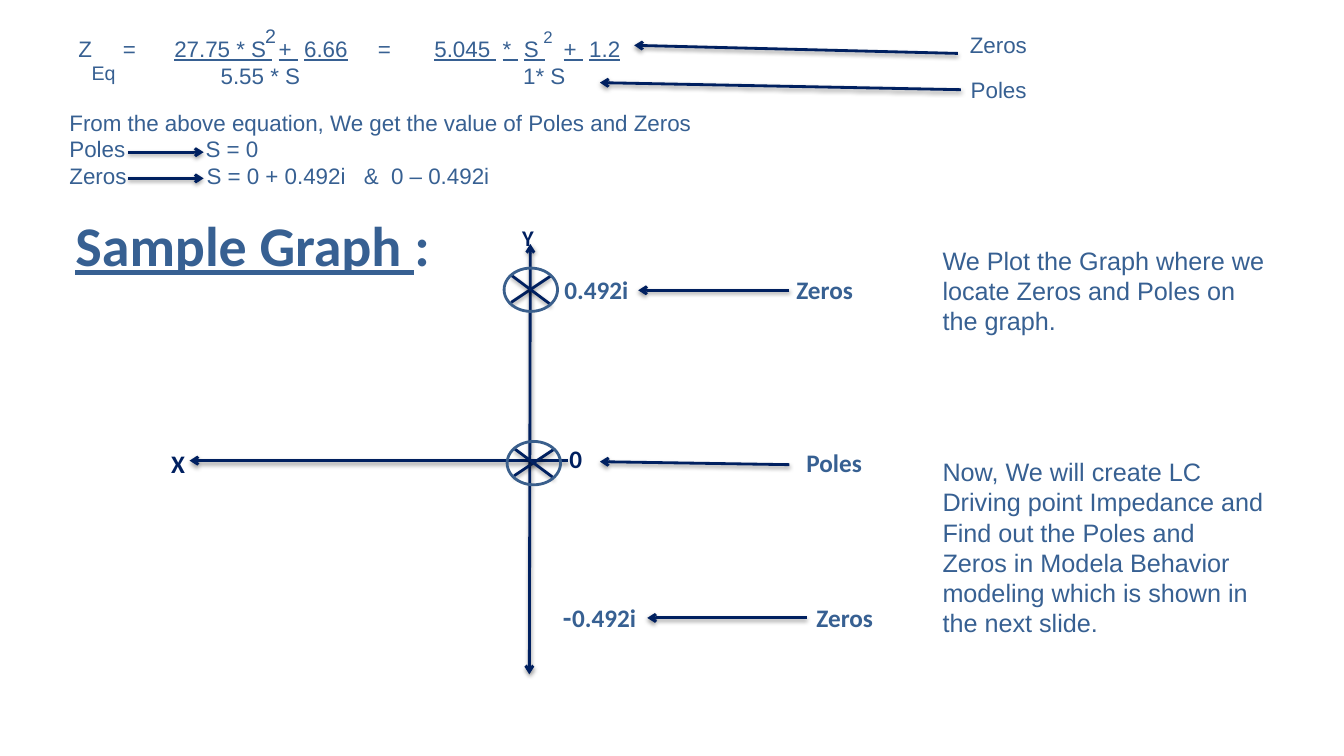
from lxml import etree
from pptx import Presentation
from pptx.dml.color import RGBColor
from pptx.enum.shapes import MSO_CONNECTOR, MSO_SHAPE
from pptx.oxml.ns import qn
from pptx.util import Inches, Pt

BLUE = RGBColor(0x37, 0x60, 0x92)
NAVY = RGBColor(0x00, 0x20, 0x60)
RING = RGBColor(0x3A, 0x5F, 0x8C)
BODY, LABEL = "Arial", "Calibri"


def add_tabs(paragraph, stops):
    tab_list = etree.SubElement(paragraph._p.get_or_add_pPr(), qn("a:tabLst"))
    for stop in stops:
        etree.SubElement(tab_list, qn("a:tab"), pos=str(Inches(stop)), algn="l")


def add_text(slide, box, *lines, size=16, font=BODY, color=BLUE, bold=False,
             wrap=False, tabs=(), gap=0):
    """Each line is a string or a list of (text, format) runs; tabs holds stops per line."""
    frame = slide.shapes.add_textbox(*map(Inches, box)).text_frame
    frame.word_wrap = wrap
    for index, line in enumerate(lines):
        paragraph = frame.add_paragraph() if index else frame.paragraphs[0]
        if tabs:
            add_tabs(paragraph, tabs[index])
        if index and gap:
            paragraph.space_before = Pt(gap)
        for text, style in [(line, {})] if isinstance(line, str) else line:
            run = paragraph.add_run()
            run.text = text
            run.font.size = Pt(size)
            run.font.name = style.get("font", font)
            run.font.bold = bold
            run.font.underline = style.get("underline", False)
            run.font.color.rgb = color
            if "spacing" in style:
                run._r.get_or_add_rPr().set("spc", str(round(style["spacing"] * 100)))


def add_line(slide, start, end, arrows=("tailEnd",)):
    line = slide.shapes.add_connector(
        MSO_CONNECTOR.STRAIGHT, *map(Inches, (*start, *end)))
    line.line.color.rgb = NAVY
    line.line.width = Pt(2)
    for arrow in arrows:
        etree.SubElement(line.line._get_or_add_ln(), qn("a:" + arrow), type="arrow")
    effects = etree.SubElement(line._element.spPr, qn("a:effectLst"))
    shadow = etree.SubElement(effects, qn("a:outerShdw"), blurRad=str(Pt(3.1)),
                              dist=str(Pt(1.6)), dir="5400000", rotWithShape="0")
    black = etree.SubElement(shadow, qn("a:srgbClr"), val="000000")
    etree.SubElement(black, qn("a:alpha"), val="38000")


def add_equation(slide, left, top):
    bar = {"underline": True}
    gap = (" ", {"underline": True, "spacing": 4.45})
    power_gap = (" ", {"underline": True, "spacing": 13.35})
    add_text(slide, (left, top, 11.22, 0.64),
             [("Z\t=\t", {}),
              ("27.75 * S", bar), gap, ("+", bar), gap, ("6.66", bar),
              ("\t=\t", {}),
              ("5.045", bar), gap, ("*", bar), gap, ("S", bar), power_gap,
              ("+", bar), gap, ("1.2", bar)],
             "\t5.55 * S\t1* S", wrap=True,
             tabs=((0.44, 0.95, 2.97, 3.53), (1.41, 4.41)))
    add_text(slide, (left + 0.13, top + 0.26, 0.44, 0.34), "Eq", size=14)
    add_text(slide, (left + 1.85, top - 0.11, 0.31, 0.34), "2", size=14)
    add_text(slide, (left + 4.61, top - 0.08, 0.29, 0.3), "2", size=12)
    add_line(slide, (left + 8.82, top + 0.23), (left + 5.61, top + 0.15))
    add_text(slide, (left + 8.84, top - 0.04, 0.78, 0.37), "Zeros")
    add_line(slide, (left + 8.85, top + 0.59), (left + 5.27, top + 0.52))
    add_text(slide, (left + 8.85, top + 0.41, 0.76, 0.37), "Poles")


def add_values(slide, left, top):
    add_text(slide, (left, top, 12.35, 0.94),
             "From the above equation, We get the value of Poles and Zeros",
             "Poles\tS = 0", "Zeros\tS = 0 + 0.492i\t&\t0 – 0.492i",
             wrap=True, tabs=((), (1.35,), (1.36, 2.92, 3.19)))
    for row in (0.48, 0.74):
        add_line(slide, (left + 0.68, top + row), (left + 1.43, top + row))


def add_marker(slide, left, top):
    """Circle with a cross, for a place on the axis."""
    add_line(slide, (left + 0.07, top + 0.34), (left + 0.46, top + 0.08), ())
    add_line(slide, (left + 0.07, top + 0.07), (left + 0.46, top + 0.36), ())
    ring = slide.shapes.add_shape(
        MSO_SHAPE.OVAL, *map(Inches, (left, top, 0.53, 0.43)))
    ring.fill.background()
    ring.line.color.rgb = RING
    ring.line.width = Pt(2)
    ring.shadow.inherit = False


def add_graph(slide, left, top):
    def label(x, y, text, color=BLUE, size=18, width=0.8):
        add_text(slide, (left + x, top + y, width, 0.4), text,
                 size=size, font=LABEL, color=color, bold=True)

    def pointer(start, end, rise=0):
        add_line(slide, (left + start[0], top + start[1]),
                 (left + end, top + start[1] - rise))

    add_line(slide, (left + 3.66, top + 0.25), (left + 3.65, top + 4.52),
             ("headEnd", "tailEnd"))
    pointer((4.03, 2.4), 0.28)
    add_marker(slide, left + 3.4, top + 0.49)
    add_marker(slide, left + 3.43, top + 2.21)
    label(0, 2.23, "X", NAVY)
    label(3.48, 0, "Y", NAVY, 16)
    label(3.95, 2.18, "0", NAVY)
    label(3.9, 0.5, "0.492i", width=1.1)
    label(3.88, 3.76, [("-", {"font": "Roboto"}), ("0.492i", {})], width=1.1)
    label(6.2, 0.5, "Zeros")
    label(6.3, 2.22, "Poles")
    label(6.4, 3.76, "Zeros")
    pointer((6.23, 0.71), 4.73)
    pointer((6.23, 2.44), 4.35, rise=0.03)
    pointer((6.4, 3.96), 4.82)


def main():
    deck = Presentation()
    deck.slide_width, deck.slide_height = Inches(13.33), Inches(7.5)
    slide = deck.slides.add_slide(deck.slide_layouts[6])
    add_equation(slide, 0.68, 0.3)
    add_values(slide, 0.59, 1.03)
    add_graph(slide, 1.6, 2.17)
    add_text(slide, (0.65, 2.04, 3.75, 0.77),
             [("Sample Graph ", {"underline": True}), (":", {})],
             size=40, font=LABEL, bold=True)
    add_text(slide, (9.25, 2.38, 3.4, 4.04),
             "We Plot the Graph where we locate Zeros and Poles on the graph.",
             "Now, We will create LC Driving point Impedance and Find out the Poles "
             "and Zeros in Modela Behavior modeling which is shown in the next slide.",
             size=18, wrap=True, gap=86.4)
    deck.save("out.pptx")


if __name__ == "__main__":
    main()
